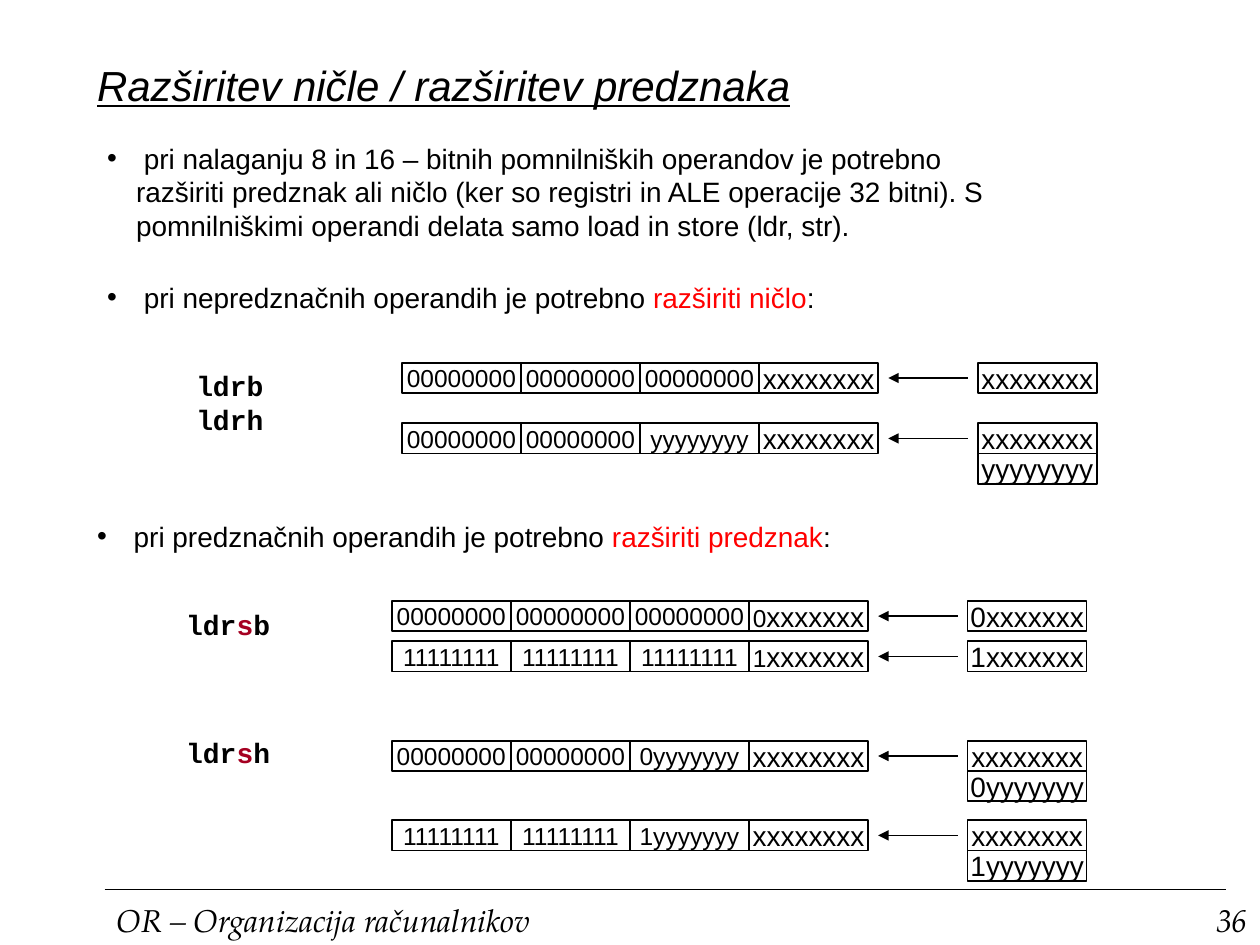
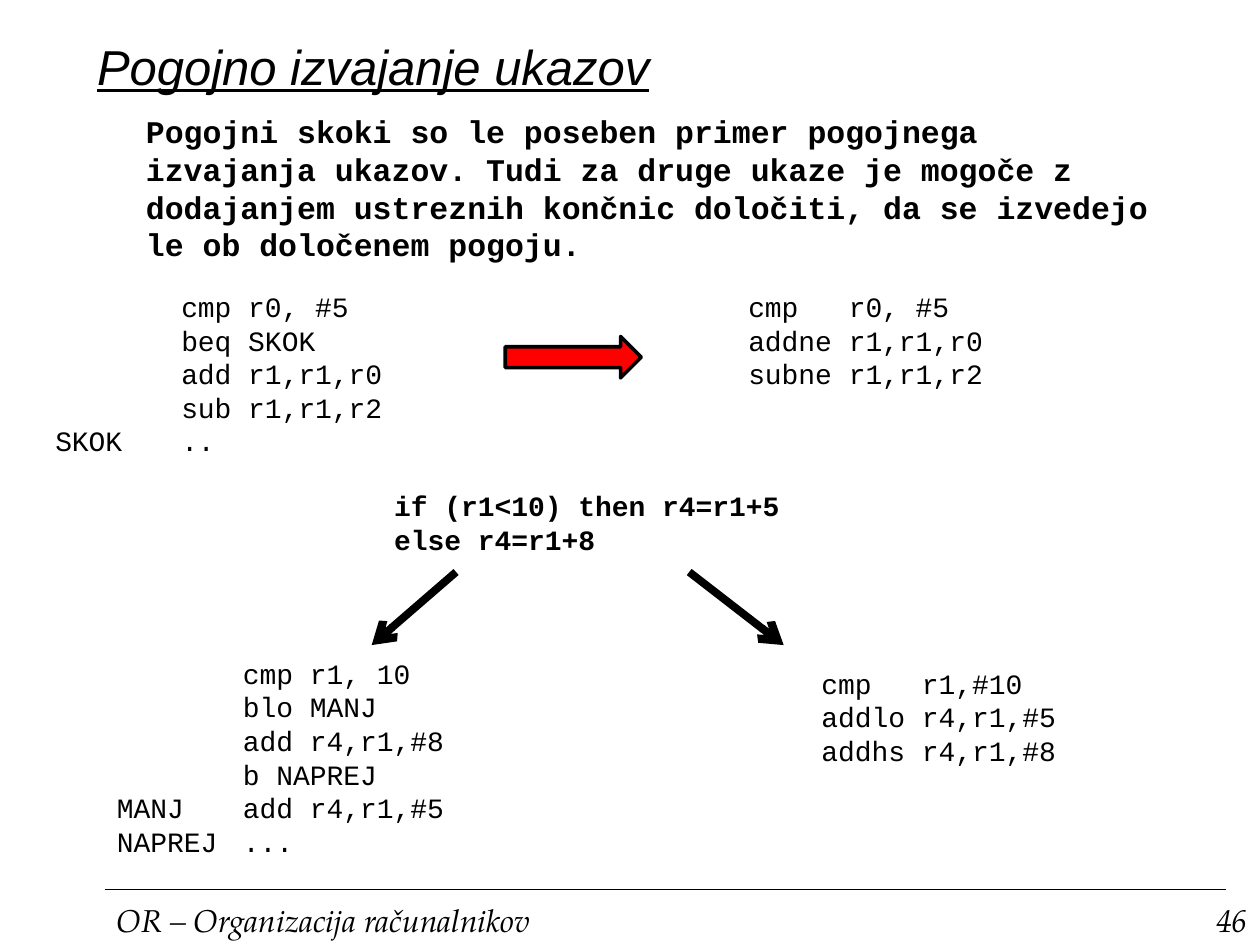
from lxml.etree import SubElement
from pptx import Presentation
from pptx.dml.color import RGBColor
from pptx.enum.shapes import MSO_CONNECTOR, MSO_SHAPE
from pptx.enum.text import MSO_ANCHOR as Anchor, MSO_AUTO_SIZE as AutoSize, PP_ALIGN as Align
from pptx.oxml.ns import qn
from pptx.util import Inches, Pt

COLORS = {"black": "000000", "red": "FF0000", "crimson": "A50021"}
FORMATS = {
    "title": {"name": "Arial", "italic": True, "underline": True},
    "list": {"name": "Arial", "size": Pt(16)},
    "digits": {"name": "Arial", "size": Pt(14)},
    "letters": {"name": "Arial", "size": Pt(16)},
    "code": {"name": "Courier New", "size": Pt(16)},
    "strong code": {"name": "Courier New", "size": Pt(16), "bold": True},
    "statement": {"name": "Courier New", "size": Pt(18), "bold": True},
    "footer": {"name": "TeX Gyre Pagella", "size": Pt(18), "italic": True},
}
TITLE_AND_TWO_LISTS, TITLE_ONLY = 3, 5
CELL_WIDTH, CELL_HEIGHT = 3.78 / 4, 0.24
MEMORY_OFFSET, ARROW_START, ARROW_END = 4.57, 4.49, 3.86
LOADS = [
    (3.19, 2.88, "00000000 00000000 00000000 xxxxxxxx", "xxxxxxxx"),
    (3.19, 3.36, "00000000 00000000 yyyyyyyy xxxxxxxx", "xxxxxxxx yyyyyyyy"),
    (3.11, 4.77, "00000000 00000000 00000000 0xxxxxxx", "0xxxxxxx"),
    (3.11, 5.09, "11111111 11111111 11111111 1xxxxxxx", "1xxxxxxx"),
    (3.11, 5.88, "00000000 00000000 0yyyyyyy xxxxxxxx", "xxxxxxxx 0yyyyyyy"),
    (3.11, 6.51, "11111111 11111111 1yyyyyyy xxxxxxxx", "xxxxxxxx 1yyyyyyy"),
]


def color(name):
    """Return the named colour."""
    return RGBColor.from_string(COLORS[name])


def lengths(*values):
    """Turn numbers of inches into lengths."""
    return [Inches(value) for value in values]


class Deck:
    """Holds the shared style and the current slide."""

    def __init__(self):
        """Start an empty presentation."""
        self.presentation = Presentation()
        self.presentation.slide_width, self.presentation.slide_height = lengths(10, 7.5)
        self.slide = None

    def new_slide(self, layout, title, top, size, number):
        """Add a slide with its title and footer."""
        self.slide = self.presentation.slides.add_slide(self.presentation.slide_layouts[layout])
        shape = self.slide.shapes.title
        self.place(shape, 0.67, top, 8.9, 0.62)
        shape.text_frame.vertical_anchor = Anchor.MIDDLE
        self.fill_text(shape.text_frame, [title], "title", size=Pt(size))
        self.line((0.83, 7.06), (9.73, 7.06), 1)
        self.text((0.83, 7.1, 3.66, 0.4), ["OR – Organizacija računalnikov"], "footer")
        self.text((8.67, 7.1, 1.33, 0.4), [str(number)], "footer", align=Align.RIGHT)

    def place(self, shape, *box):
        """Move and size a placeholder."""
        for name, value in zip(("left", "top", "width", "height"), lengths(*box)):
            setattr(shape, name, value)

    def add_run(self, paragraph, text, style, tint="black", **changes):
        """Add one formatted run."""
        run = paragraph.add_run()
        run.text = text
        for name, value in {**FORMATS[style], **changes}.items():
            setattr(run.font, name, value)
        run.font.color.rgb = color(tint)

    def fill_text(self, frame, paragraphs, style, align=Align.LEFT, gap=0, **changes):
        """Fill a text frame with paragraphs of plain or tinted runs."""
        frame.word_wrap = True
        frame.auto_size = AutoSize.NONE
        for index, content in enumerate(paragraphs):
            paragraph = frame.add_paragraph() if index else frame.paragraphs[0]
            paragraph.alignment = align
            paragraph.space_before = Pt(gap if index else 0)
            runs = [(content, "black")] if isinstance(content, str) else content
            for text, tint in runs:
                self.add_run(paragraph, text, style, tint, **changes)

    def text(self, box, paragraphs, style, **options):
        """Add a text box."""
        frame = self.slide.shapes.add_textbox(*lengths(*box)).text_frame
        self.fill_text(frame, paragraphs, style, **options)
        return frame

    def code(self, box, lines):
        """Add a code listing with its instructions on a one-inch tab."""
        for paragraph in self.text(box, lines, "code").paragraphs:
            tabs = SubElement(paragraph._p.get_or_add_pPr(), qn("a:tabLst"))
            SubElement(tabs, qn("a:tab"), pos=str(Inches(1)), algn="l")

    def bullets(self, index, box, items, gap=0):
        """Fill a body placeholder with a bulleted list."""
        shape = self.slide.placeholders[index]
        self.place(shape, *box)
        self.fill_text(shape.text_frame, items, "list", gap=gap)
        for paragraph in shape.text_frame.paragraphs:
            properties = paragraph._p.get_or_add_pPr()
            properties.set("marL", str(Inches(0.23)))
            properties.set("indent", str(-Inches(0.23)))
            SubElement(properties, qn("a:buChar"), char="•")

    def line(self, start, end, width, head=None):
        """Add a line, with an arrowhead at its end if one is named."""
        connector = self.slide.shapes.add_connector(
            MSO_CONNECTOR.STRAIGHT, *lengths(*start, *end))
        connector.line.color.rgb = color("black")
        connector.line.width = Pt(width)
        properties = connector._element.spPr
        if head:
            SubElement(properties.find(qn("a:ln")), qn("a:tailEnd"), type=head)
        SubElement(properties, qn("a:effectLst"))

    def shape(self, kind, box, width, fill=None):
        """Add an outlined preset shape."""
        shape = self.slide.shapes.add_shape(kind, *lengths(*box))
        shape.shadow.inherit = False
        if fill:
            shape.fill.solid()
            shape.fill.fore_color.rgb = color(fill)
        else:
            shape.fill.background()
        shape.line.color.rgb = color("black")
        shape.line.width = Pt(width)
        return shape

    def byte(self, left, top, runs):
        """Add one byte cell from pairs of text and style."""
        frame = self.shape(
            MSO_SHAPE.RECTANGLE, (left, top, CELL_WIDTH, CELL_HEIGHT), 1).text_frame
        frame.word_wrap = False
        frame.vertical_anchor = Anchor.MIDDLE
        frame.paragraphs[0].alignment = Align.CENTER
        for text, style in runs:
            self.add_run(frame.paragraphs[0], text, style)

    def load(self, left, top, register, memory):
        """Draw memory bytes loaded into a four-byte register."""
        *upper, lowest = register.split()
        for column, text in enumerate(upper):
            self.byte(left + column * CELL_WIDTH, top, [(text, "digits")])
        sign = lowest.rstrip("x")
        runs = [(sign, "digits")] if sign else []
        self.byte(left + 3 * CELL_WIDTH, top, runs + [(lowest[len(sign):], "letters")])
        for row, text in enumerate(memory.split()):
            self.byte(left + MEMORY_OFFSET, top + row * CELL_HEIGHT, [(text, "letters")])
        middle = top + CELL_HEIGHT / 2
        self.line((left + ARROW_START, middle), (left + ARROW_END, middle), 1, "triangle")


def extension_slide(deck):
    """Build the slide on zero and sign extension."""
    deck.new_slide(TITLE_AND_TWO_LISTS, "Razširitev ničle / razširitev predznaka", 0.36, 24, 36)
    deck.bullets(1, (0.75, 1.07, 7.24, 1.48), [
        " pri nalaganju 8 in 16 – bitnih pomnilniških operandov je potrebno razširiti "
        "predznak ali ničlo (ker so registri in ALE operacije 32 bitni). S pomnilniškimi "
        "operandi delata samo load in store (ldr, str).",
        [(" pri nepredznačnih operandih je potrebno ", "black"),
         ("razširiti ničlo", "red"), (":", "black")],
    ], gap=22)
    deck.bullets(2, (0.67, 4.07, 7.24, 0.37), [
        [(" pri predznačnih operandih je potrebno ", "black"),
         ("razširiti predznak", "red"), (":", "black")],
    ])
    deck.text((1.46, 2.88, 1.34, 0.64), ["ldrb", "ldrh"], "strong code")
    signed = [[("ldr", "black"), ("s", "crimson"), (size, "black")] for size in "bh"]
    deck.text((1.38, 4.77, 1.34, 1.44), signed, "strong code", gap=54)
    for load in LOADS:
        deck.load(*load)


def conditional_slide(deck):
    """Build the slide on conditional execution."""
    deck.new_slide(TITLE_ONLY, "Pogojno izvajanje ukazov", 0.21, 28, 46)
    deck.text((1.06, 0.84, 8.25, 1.3), [
        "Pogojni skoki so le poseben primer pogojnega izvajanja ukazov. Tudi za druge "
        "ukaze je mogoče z dodajanjem ustreznih končnic določiti, da se izvedejo le ob "
        "določenem pogoju."], "statement")
    deck.code((0.34, 2.25, 3.25, 1.44), [
        "\tcmp r0, #5", "\tbeq SKOK", "\tadd r1,r1,r0", "\tsub r1,r1,r2", "SKOK\t.."])
    deck.shape(MSO_SHAPE.RIGHT_ARROW, (4.01, 2.67, 1.08, 0.33), 2, "red")
    deck.code((4.84, 2.25, 3.25, 0.9), [
        "\tcmp   r0, #5", "\taddne r1,r1,r0", "\tsubne r1,r1,r2"])
    deck.text((3.03, 3.83, 4.08, 0.64), [
        "if (r1<10) then r4=r1+5", "else r4=r1+8"], "strong code")
    deck.line((3.62, 4.54), (2.95, 5.12), 4.5, "arrow")
    deck.line((5.47, 4.54), (6.22, 5.12), 4.5, "arrow")
    deck.code((0.83, 5.16, 3.25, 1.7), [
        "\tcmp r1, 10", "\tblo MANJ", "\tadd r4,r1,#8", "\tb NAPREJ",
        "MANJ\tadd r4,r1,#5", "NAPREJ\t..."])
    deck.code((6.42, 5.24, 2.42, 0.9), [
        "cmp   r1,#10", "addlo r4,r1,#5", "addhs r4,r1,#8"])


def main():
    """Build and save the presentation."""
    deck = Deck()
    extension_slide(deck)
    conditional_slide(deck)
    deck.presentation.save("out.pptx")


if __name__ == "__main__":
    main()
